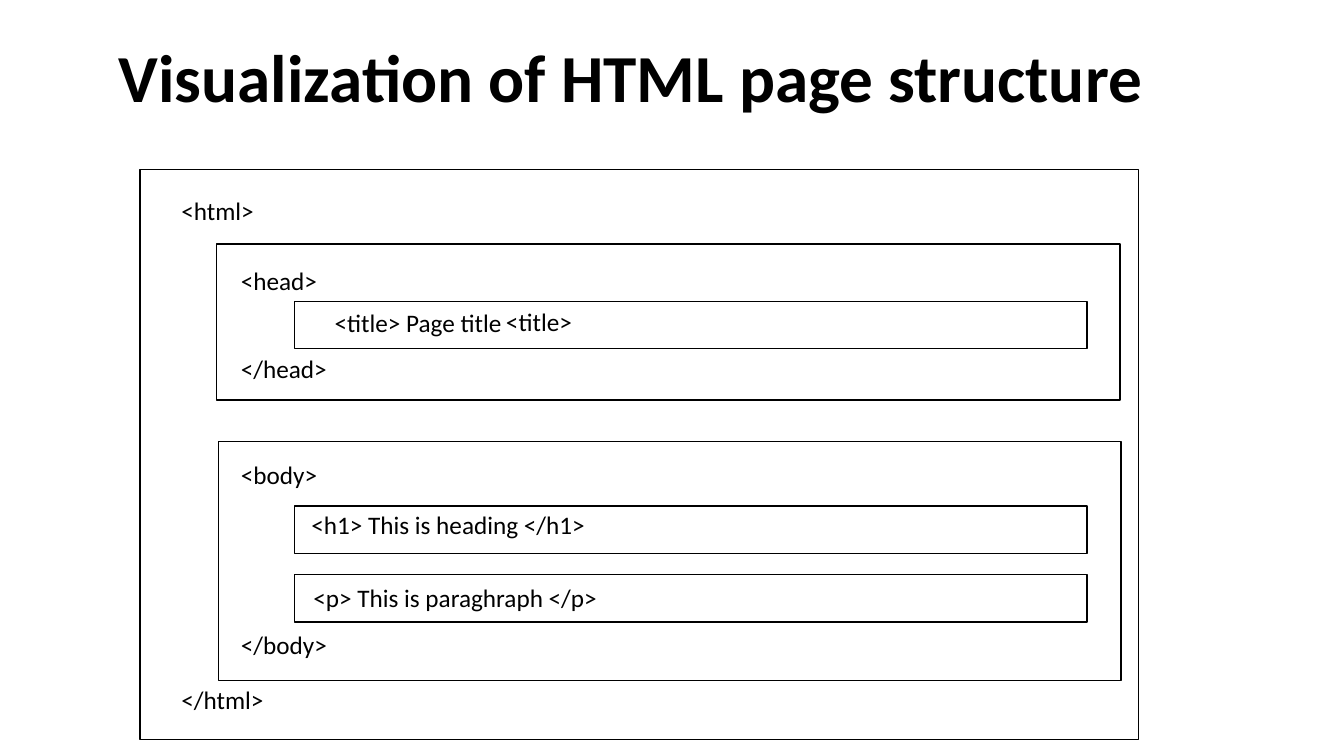
"""Draw the nested boxes of an HTML page as one slide."""
from dataclasses import dataclass

from pptx import Presentation
from pptx.dml.color import RGBColor
from pptx.enum.shapes import MSO_SHAPE as Shape
from pptx.enum.text import MSO_AUTO_SIZE as AutoSize
from pptx.slide import Slide
from pptx.util import Emu, Pt

BLACK = RGBColor(0, 0, 0)
WHITE = RGBColor(255, 255, 255)
EMU_PER_PX = 9144
LABEL_W, LABEL_H = 242, 40
BAR_X, BAR_W, BAR_H = 292, 786, 47
HTML_X, TAG_X = 170, 229


@dataclass(frozen=True)
class Box:
    x: int
    y: int
    w: int
    h: int


@dataclass(frozen=True)
class Label:
    text: str
    x: int
    y: int
    w: int = LABEL_W
    h: int = LABEL_H
    size: int = 18
    bold: bool = False


BOXES = [
    Box(139, 168, 990, 566),
    Box(215, 242, 896, 155),
    Box(217, 438, 895, 237),
    *(Box(BAR_X, y, BAR_W, BAR_H) for y in (299, 502, 570)),
]
LABELS = [
    Label("Visualization of HTML page structure", 108, 30, 1075, 91, 48, True),
    Label("<html>", HTML_X, 189),
    Label("<head>", TAG_X, 258),
    Label("<title> Page title", 322, 300),
    Label("<title>", 492, 299),
    Label("</head>", TAG_X, 346),
    Label("<body>", TAG_X, 451),
    Label("<h1> This is heading </h1>", 299, 500, 323),
    Label("<p> This is paraghraph </p>", 301, 573, 323),
    Label("</body>", TAG_X, 619),
    Label("</html>", HTML_X, 674),
]


def px(n: int) -> Emu:
    return Emu(n * EMU_PER_PX)


def place(item: Box | Label) -> tuple[Emu, ...]:
    return tuple(px(n) for n in (item.x, item.y, item.w, item.h))


def draw_box(s: Slide, box: Box) -> None:
    sp = s.shapes.add_shape(Shape.RECTANGLE, *place(box))
    sp.shadow.inherit = False
    sp.fill.solid()
    sp.fill.fore_color.rgb = WHITE
    sp.line.color.rgb = BLACK
    sp.line.width = Pt(1)


def draw_label(s: Slide, label: Label) -> None:
    tf = s.shapes.add_textbox(*place(label)).text_frame
    tf.word_wrap = True
    tf.auto_size = AutoSize.SHAPE_TO_FIT_TEXT
    r = tf.paragraphs[0].add_run()
    r.text = label.text
    font = {"name": "Calibri", "size": Pt(label.size), "bold": label.bold}
    for name, value in font.items():
        setattr(r.font, name, value)
    r.font.color.rgb = BLACK


def main() -> None:
    prs = Presentation()
    prs.slide_width, prs.slide_height = px(1333), px(750)
    s = prs.slides.add_slide(prs.slide_layouts[6])
    for box in BOXES:
        draw_box(s, box)
    for label in LABELS:
        draw_label(s, label)
    prs.save("out.pptx")


if __name__ == "__main__":
    main()
